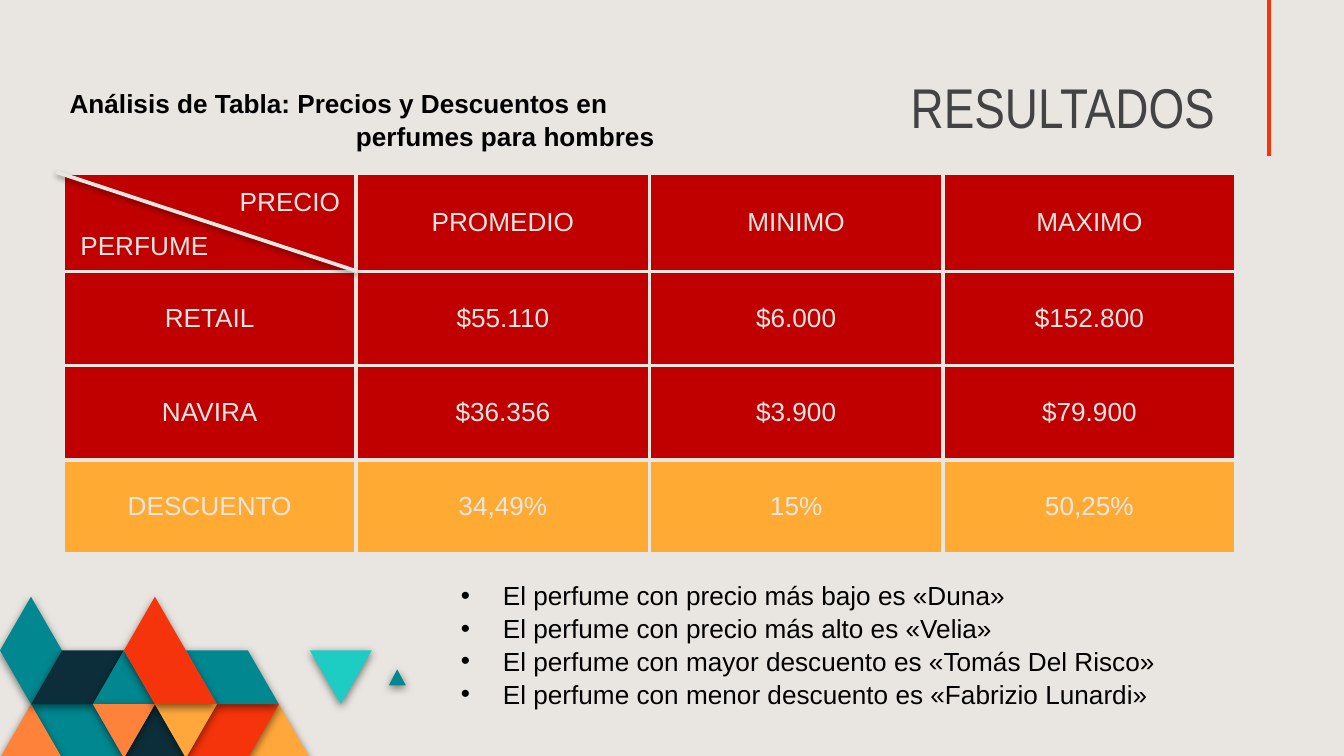
"""Build the results slide: a price table, its heading, findings and a triangle mosaic."""
from lxml.etree import SubElement
from pptx import Presentation
from pptx.dml.color import RGBColor as Color
from pptx.enum.shapes import MSO_CONNECTOR as Connector
from pptx.enum.text import MSO_ANCHOR as Anchor, PP_ALIGN as Align
from pptx.oxml.ns import qn
from pptx.util import Pt

CREAM = Color(0xE9, 0xE6, 0xE1)
CRIMSON = Color(0xC0, 0x00, 0x00)
AMBER = Color(0xFF, 0xAA, 0x32)
YELLOW = Color(0xFF, 0xA7, 0x3B)
ORANGE = Color(0xFF, 0x82, 0x3B)
RED = Color(0xF5, 0x34, 0x0B)
TEAL = Color(0x01, 0x87, 0x90)
AQUA = Color(0x1D, 0xCD, 0xC3)
NAVY = Color(0x0C, 0x2E, 0x3A)
GRAY = Color(0x43, 0x43, 0x43)
BLACK = Color(0x00, 0x00, 0x00)

MOSAIC_TOP, MOSAIC_STEP_X, MOSAIC_STEP_Y = 319.7, 16.6, 28.8
MOSAIC = [
    (YELLOW, [(10, 3), (9, 2), (8, 3)]),
    (RED, [(9, 2), (7, 2), (6, 3), (8, 3)]),
    (TEAL, [(4, 3), (3, 2), (1, 2), (2, 3)]),
    (ORANGE, [(2, 3), (1, 2), (0, 3)]),
    (NAVY, [(6, 3), (5, 2), (4, 3)]),
    (TEAL, [(9, 2), (8, 1), (6, 1), (7, 2)]),
    (TEAL, [(13.1, 1.65), (12.82, 1.35), (12.55, 1.65)]),
    (AQUA, [(12, 1), (10, 1), (11, 2)]),
    (TEAL, [(2, 1), (1, 0), (0, 1), (1, 2)]),
    (NAVY, [(4, 1), (2, 1), (1, 2), (3, 2)]),
    (TEAL, [(5, 2), (4, 1), (3, 2)]),
    (ORANGE, [(5, 2), (3, 2), (4, 3)]),
    (YELLOW, [(7, 2), (5, 2), (6, 3)]),
    (RED, [(7, 2), (5, 0), (4, 1), (5, 2)]),
]

PRICES = [
    ["", "PROMEDIO", "MINIMO", "MAXIMO"],
    ["RETAIL", "$55.110", "$6.000", "$152.800"],
    ["NAVIRA", "$36.356", "$3.900", "$79.900"],
    ["DESCUENTO", "34,49%", "15%", "50,25%"],
]
ROW_HEIGHTS = [52.6, 50.4, 50.4, 50.4]
ROW_FILLS = [CRIMSON, CRIMSON, CRIMSON, AMBER]

HEADING = ["Análisis de Tabla: Precios y Descuentos en", "perfumes para hombres"]
FINDINGS = [
    "El perfume con precio más bajo es «Duna»",
    "El perfume con precio más alto es «Velia»",
    "El perfume con mayor descuento es «Tomás Del Risco»",
    "El perfume con menor descuento es «Fabrizio Lunardi»",
]


def set_shadow(shape, blur=0, distance=0, opacity=0):
    effects = SubElement(shape._element.spPr, qn("a:effectLst"))
    if opacity:
        shadow = SubElement(effects, qn("a:outerShdw"), blurRad=str(Pt(blur)),
                            dist=str(Pt(distance)), dir="5400000", rotWithShape="0")
        tint = SubElement(shadow, qn("a:srgbClr"), val=str(BLACK))
        SubElement(tint, qn("a:alpha"), val=str(opacity * 1000))


def style_runs(paragraph, color, size=14, font="Arial", bold=False):
    for run in paragraph.runs:
        run.font.size = Pt(size)
        run.font.name = font
        run.font.bold = bold
        run.font.color.rgb = color


def add_tile(slide, color, corners):
    points = [(Pt(x * MOSAIC_STEP_X), Pt(MOSAIC_TOP + y * MOSAIC_STEP_Y)) for x, y in corners]
    builder = slide.shapes.build_freeform(*points[0], scale=1.0)
    builder.add_line_segments(points[1:], close=True)
    tile = builder.convert_to_shape()
    tile.fill.solid()
    tile.fill.fore_color.rgb = color
    tile.line.fill.background()
    set_shadow(tile, 4.5, 1.5, 50)


def add_rule(slide, start, end, color, width, **shadow):
    rule = slide.shapes.add_connector(Connector.STRAIGHT, *map(Pt, start + end))
    rule.line.color.rgb = color
    rule.line.width = Pt(width)
    set_shadow(rule, **shadow)


def add_text(slide, box, lines, color, align=Align.LEFT, spacing=1.05, **font):
    frame = slide.shapes.add_textbox(*map(Pt, box)).text_frame
    frame.word_wrap = True
    frame.text = "\n".join(lines)
    for paragraph in frame.paragraphs:
        paragraph.alignment = align
        paragraph.line_spacing = spacing
        style_runs(paragraph, color, **font)
    return frame


def set_indent(paragraph, left, first=0):
    properties = paragraph._p.get_or_add_pPr()
    properties.set("marL", str(Pt(left)))
    properties.set("indent", str(Pt(first)))
    return properties


def add_bullet(paragraph):
    properties = set_indent(paragraph, 22.5, -22.5)
    SubElement(SubElement(properties, qn("a:buClr")), qn("a:srgbClr"), val=str(BLACK))
    SubElement(properties, qn("a:buFont"), typeface="Arial")
    SubElement(properties, qn("a:buChar"), char="•")


def style_cell(cell, fill):
    properties = cell._tc.get_or_add_tcPr()
    for side in ("a:lnL", "a:lnR", "a:lnT", "a:lnB"):
        border = SubElement(properties, qn(side), w=str(Pt(2.25)))
        SubElement(SubElement(border, qn("a:solidFill")), qn("a:srgbClr"), val=str(CREAM))
    cell.fill.solid()
    cell.fill.fore_color.rgb = fill
    cell.vertical_anchor = Anchor.MIDDLE


def add_price_table(slide):
    box = map(Pt, (33.8, 92.9, 628.4, sum(ROW_HEIGHTS)))
    table = slide.shapes.add_table(len(PRICES), len(PRICES[0]), *box).table
    for row, height, fill, values in zip(table.rows, ROW_HEIGHTS, ROW_FILLS, PRICES):
        row.height = Pt(height)
        for cell, value in zip(row.cells, values):
            style_cell(cell, fill)
            cell.text_frame.text = value
            paragraph = cell.text_frame.paragraphs[0]
            paragraph.alignment = Align.CENTER
            style_runs(paragraph, CREAM)


def main():
    deck = Presentation()
    deck.slide_width, deck.slide_height = Pt(720), Pt(405)
    slide = deck.slides.add_slide(deck.slide_layouts[6])
    slide.background.fill.solid()
    slide.background.fill.fore_color.rgb = CREAM

    for color, corners in MOSAIC:
        add_tile(slide, color, corners)
    add_rule(slide, (679.7, 0), (679.7, 83.5), RED, 2.25)

    title = add_text(slide, (20.9, 36.7, 637.2, 45.4), ["RESULTADOS"], GRAY, Align.RIGHT,
                     spacing=1.0, size=30, font="Arial Narrow")
    title.vertical_anchor = Anchor.BOTTOM
    title.margin_top = title.margin_bottom = Pt(7.2)

    add_price_table(slide)
    add_rule(slide, (30.2, 92.2), (191.5, 145.4), CREAM, 2, blur=3.1, distance=1.6, opacity=38)
    add_text(slide, (36, 118.8, 97.9, 24.5), ["PERFUME"], CREAM)
    add_text(slide, (91.4, 95, 97.9, 24.5), ["PRECIO"], CREAM, Align.RIGHT)

    heading = add_text(slide, (30.2, 42.5, 457.2, 41), HEADING, BLACK, bold=True)
    set_indent(heading.paragraphs[1], 153.4)

    findings = add_text(slide, (239.8, 306, 457.2, 82), FINDINGS, BLACK)
    for paragraph in findings.paragraphs:
        add_bullet(paragraph)

    deck.save("out.pptx")


if __name__ == "__main__":
    main()
